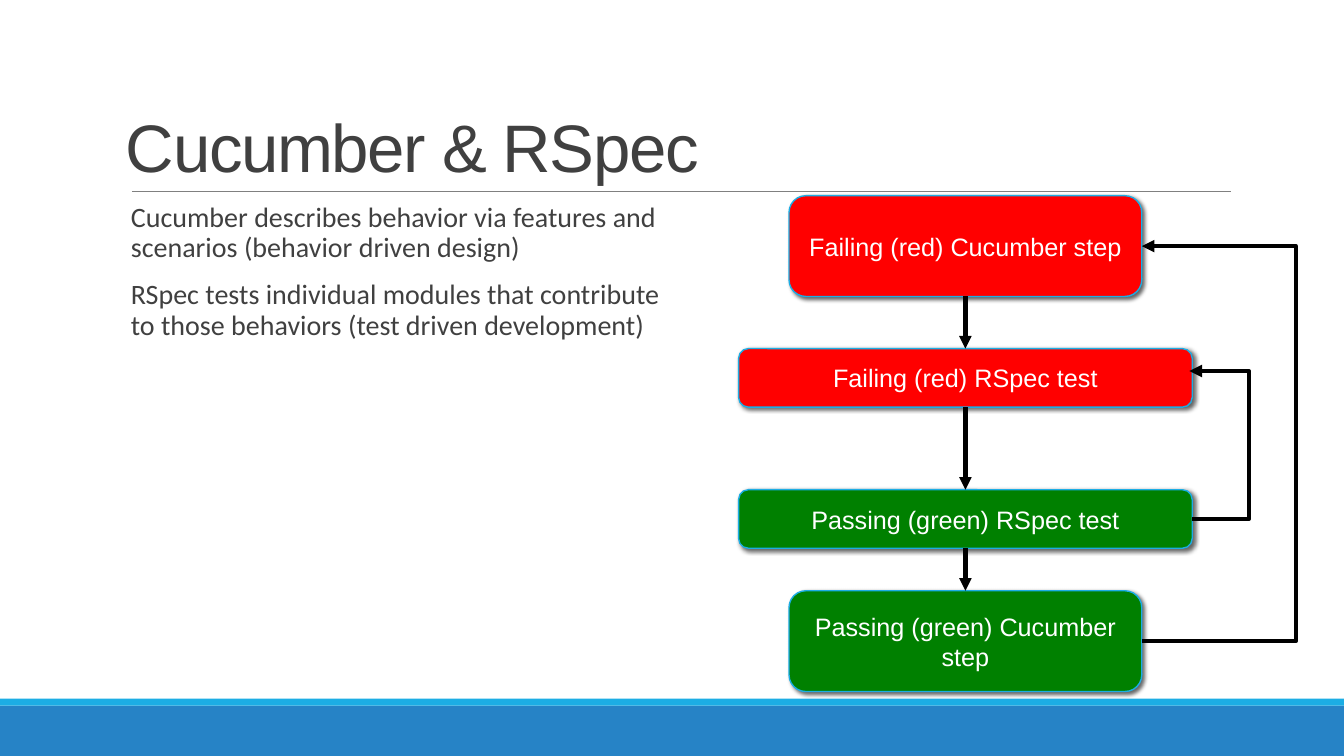
from dataclasses import dataclass

from lxml import etree
from pptx import Presentation
from pptx import util as u
from pptx.dml.color import RGBColor
from pptx.enum import shapes, text
from pptx.oxml import ns


@dataclass(frozen=True)
class Theme:
    ink: str = "404040"
    white: str = "FFFFFF"
    black: str = "000000"
    rule: str = "808080"
    band: str = "2683C6"
    accent: str = "1CADE4"
    failing: str = "FF0000"
    passing: str = "008000"
    heading_font: str = "Arial"
    body_font: str = "Calibri"
    title_size: float = 48
    body_size: float = 20
    step_size: float = 18
    arrow_width: float = 3


@dataclass(frozen=True)
class Step:
    label: str
    top: float
    width: float
    height: float
    fill: str

    @property
    def bottom(self) -> float:
        return self.top + self.height

    @property
    def middle(self) -> float:
        return self.top + self.height / 2

    @property
    def right(self) -> float:
        return FLOW_CENTER + self.width / 2


@dataclass(frozen=True)
class Loop:
    """Return path that leaves a box, runs up an outer lane and points back left."""
    start: tuple[float, float]
    lane: float
    end: tuple[float, float]


THEME = Theme()
SLIDE_WIDTH, SLIDE_HEIGHT = 960, 540
FLOW_CENTER = 689.6
OUTER, INNER = (252, 72), (324, 41.8)
STEPS = (
    Step("Failing (red) Cucumber step", 139.8, *OUTER, THEME.failing),
    Step("Failing (red) RSpec test", 249, *INNER, THEME.failing),
    Step("Passing (green) RSpec test", 349.8, *INNER, THEME.passing),
    Step("Passing (green) Cucumber step", 422, *OUTER, THEME.passing),
)
LOOPS = (
    Loop((STEPS[3].right, STEPS[3].middle), 925.5, (STEPS[0].right, STEPS[0].middle)),
    Loop((STEPS[2].right, STEPS[2].middle), 892, (STEPS[1].right - 2, 265)),
)
BODY = (
    "Cucumber describes behavior via features and scenarios (behavior driven design)",
    "RSpec tests individual modules that contribute to those behaviors (test driven development)",
)


def apply_format(target, values: dict) -> None:
    for name, value in values.items():
        setattr(target, name, value)


def set_frame(frame, anchor, margins: tuple[float, float, float, float]) -> None:
    left, top, right, bottom = map(u.Pt, margins)
    apply_format(frame, {
        "word_wrap": True, "vertical_anchor": anchor, "margin_left": left,
        "margin_top": top, "margin_right": right, "margin_bottom": bottom,
    })


def write(paragraph, words: str, font: str, size: float, color: str, layout: dict):
    run = paragraph.add_run()
    run.text = words
    apply_format(run.font, {"name": font, "size": u.Pt(size)})
    run.font.color.rgb = RGBColor.from_string(color)
    apply_format(paragraph, layout)
    return run


def set_line(line, color: str, width: float) -> None:
    line.color.rgb = RGBColor.from_string(color)
    line.width = u.Pt(width)


def add_arrowhead(line) -> None:
    etree.SubElement(line._get_or_add_ln(), ns.qn("a:tailEnd"), type="triangle")


def add_plain_line(slide, start: tuple, end: tuple, color: str, width: float):
    connector = slide.shapes.add_connector(
        shapes.MSO_CONNECTOR.STRAIGHT, *map(u.Pt, start + end))
    set_line(connector.line, color, width)
    etree.SubElement(connector._element.spPr, ns.qn("a:effectLst"))
    return connector


def add_filled_shape(slide, kind, box: tuple, fill: str):
    shape = slide.shapes.add_shape(kind, *map(u.Pt, box))
    shape.shadow.inherit = False
    shape.fill.solid()
    shape.fill.fore_color.rgb = RGBColor.from_string(fill)
    shape.line.fill.background()
    return shape


def add_drop_shadow(shape) -> None:
    effects = shape._element.spPr.find(ns.qn("a:effectLst"))
    shadow = etree.SubElement(
        effects, ns.qn("a:outerShdw"), blurRad=str(u.Pt(3)), dist=str(u.Pt(2)),
        dir="2700000", algn="ctr", rotWithShape="0")
    color = etree.SubElement(shadow, ns.qn("a:srgbClr"), val=THEME.black)
    etree.SubElement(color, ns.qn("a:alpha"), val="60000")


def add_step(slide, step: Step) -> None:
    box = (FLOW_CENTER - step.width / 2, step.top, step.width, step.height)
    shape = add_filled_shape(
        slide, shapes.MSO_SHAPE.ROUNDED_RECTANGLE, box, step.fill)
    set_line(shape.line, THEME.accent, 1)
    add_drop_shadow(shape)
    set_frame(shape.text_frame, text.MSO_ANCHOR.MIDDLE, (3.6,) * 4)
    write(shape.text_frame.paragraphs[0], step.label, THEME.heading_font,
          THEME.step_size, THEME.white, {"alignment": text.PP_ALIGN.CENTER})


def add_loop(slide, loop: Loop) -> None:
    corners = (loop.lane, loop.start[1]), (loop.lane, loop.end[1]), loop.end
    builder = slide.shapes.build_freeform(*map(u.Pt, loop.start))
    builder.add_line_segments(
        [(u.Pt(x), u.Pt(y)) for x, y in corners], close=False)
    shape = builder.convert_to_shape()
    shape.shadow.inherit = False
    shape.fill.background()
    set_line(shape.line, THEME.black, THEME.arrow_width)
    add_arrowhead(shape.line)


def add_title(slide) -> None:
    frame = slide.shapes.add_textbox(*map(u.Pt, (86.4, 22.4, 792, 114.4))).text_frame
    set_frame(frame, text.MSO_ANCHOR.BOTTOM, (3.6,) * 4)
    run = write(frame.paragraphs[0], "Cucumber & RSpec", THEME.heading_font,
                THEME.title_size, THEME.ink, {"line_spacing": 0.85})
    run.font._element.set("spc", "-100")


def add_body(slide) -> None:
    frame = slide.shapes.add_textbox(*map(u.Pt, (86.4, 145.4, 388.8, 316.8))).text_frame
    set_frame(frame, text.MSO_ANCHOR.TOP, (7.2, 0, 0, 0))
    for index, words in enumerate(BODY):
        paragraph = frame.add_paragraph() if index else frame.paragraphs[0]
        write(paragraph, words, THEME.body_font, THEME.body_size, THEME.ink,
              {"line_spacing": 0.9, "space_before": u.Pt(12 if index else 0)})


def main() -> None:
    presentation = Presentation()
    apply_format(presentation, {
        "slide_width": u.Pt(SLIDE_WIDTH), "slide_height": u.Pt(SLIDE_HEIGHT)})
    slide = presentation.slides.add_slide(presentation.slide_layouts[6])
    for top, height, color in ((504, 36, THEME.band), (499, 5, THEME.accent)):
        add_filled_shape(slide, shapes.MSO_SHAPE.RECTANGLE,
                         (0, top, SLIDE_WIDTH, height), color)
    add_plain_line(slide, (94.3, 136.8), (879, 136.8), THEME.rule, 0.5)
    add_title(slide)
    add_body(slide)
    for step in STEPS:
        add_step(slide, step)
    for loop in LOOPS:
        add_loop(slide, loop)
    for upper, lower in zip(STEPS, STEPS[1:]):
        arrow = add_plain_line(slide, (FLOW_CENTER, upper.bottom),
                               (FLOW_CENTER, lower.top),
                               THEME.black, THEME.arrow_width)
        add_arrowhead(arrow.line)
    presentation.save("out.pptx")


if __name__ == "__main__":
    main()
